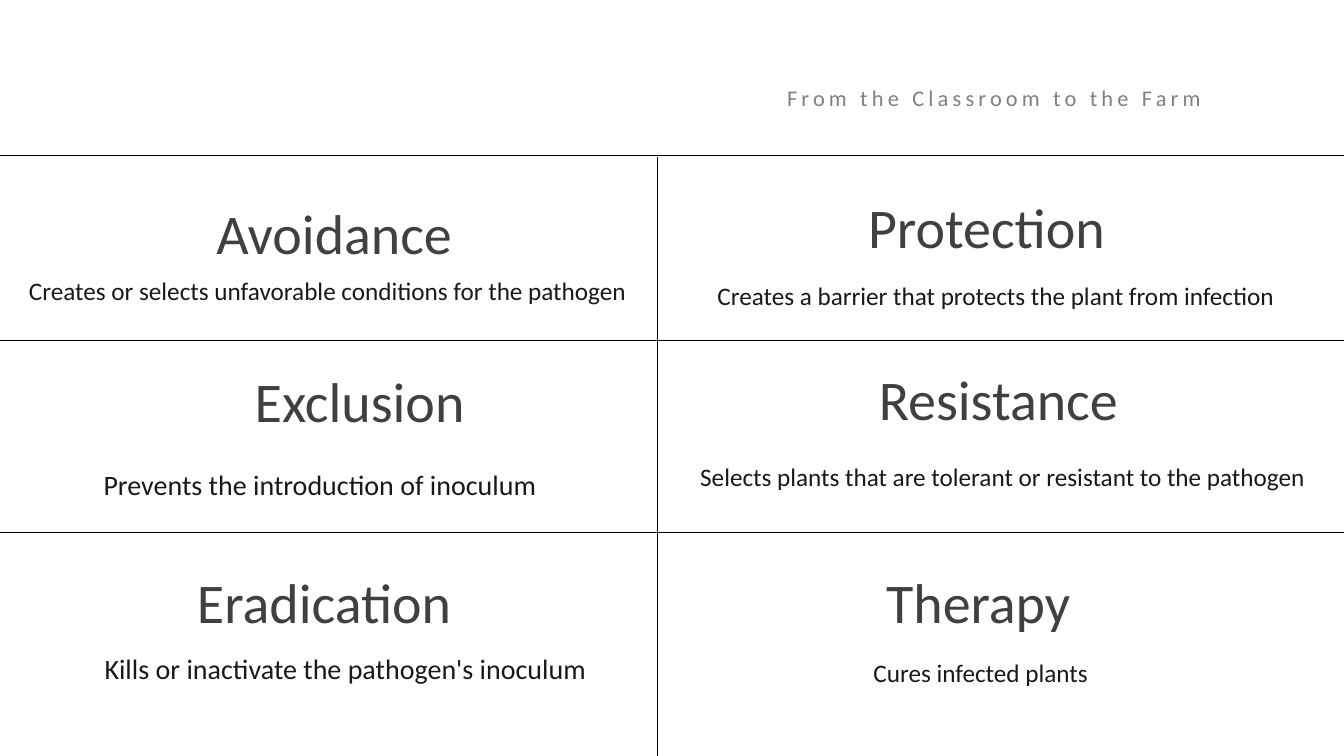
from pptx import Presentation
from pptx.dml.color import RGBColor
from pptx.enum import shapes, text
from pptx.oxml.ns import qn
from pptx.util import Pt

BLACK = RGBColor(0x00, 0x00, 0x00)
HEADING_GRAY = RGBColor(0x40, 0x40, 0x40)
BODY_GRAY = RGBColor(0x19, 0x19, 0x19)
TAGLINE_GRAY = RGBColor(0x80, 0x80, 0x80)
LEFT, CENTER = text.PP_ALIGN.LEFT, text.PP_ALIGN.CENTER
INDENT = 34.5

presentation = Presentation()
presentation.slide_width = Pt(960)
presentation.slide_height = Pt(540)
slide = presentation.slides.add_slide(presentation.slide_layouts[6])


def add_text(words, box, size, color, spacing, alignment=LEFT, indent=0):
    shape = slide.shapes.add_textbox(*[Pt(length) for length in box])
    shape.text_frame.word_wrap = True
    shape.text_frame.auto_size = text.MSO_AUTO_SIZE.SHAPE_TO_FIT_TEXT
    paragraph = shape.text_frame.paragraphs[0]
    paragraph.alignment = alignment
    paragraph.line_spacing = spacing
    if indent:
        properties = paragraph._p.get_or_add_pPr()
        properties.set("marL", str(Pt(indent)))
        properties.set("indent", "0")
    run = paragraph.add_run()
    run.text = words
    for name, value in {"name": "Calibri", "size": Pt(size)}.items():
        setattr(run.font, name, value)
    run.font.color.rgb = color
    return run


# Tagline with wide letter spacing
tagline = add_text("From the Classroom to the Farm", (555.1, 46.8, 360, 33.1),
                   16, TAGLINE_GRAY, 1.5)
tagline.font._element.set("spc", "300")

# Grid lines: three rows and one column divider
grid_lines = [(0, y, 960, y) for y in (110.9, 243.4, 380.2)]
grid_lines.append((469.4, 112.3, 469.4, 540))
for ends in grid_lines:
    line = slide.shapes.add_connector(
        shapes.MSO_CONNECTOR.STRAIGHT, *[Pt(length) for length in ends])
    line.line.color.rgb = BLACK
    line.line.width = Pt(0.5)
    properties = line._element.spPr
    properties.append(properties.makeelement(qn("a:effectLst"), {}))

# Principle names: left, top, height, line spacing, indent
principles = [
    ("Avoidance", 47.5, 118.8, 69.1, 1.4, 0),
    ("Protection", 513.4, 114.5, 69.1, 1.4, 0),
    ("Exclusion", 12.2, 244.1, 65.5, 1.3, 107),
    ("Resistance", 504.7, 242.6, 65.5, 1.3, INDENT),
    ("Eradication", 40.3, 382.3, 69.1, 1.4, 0),
    ("Therapy", 507.6, 382.3, 69.1, 1.4, 0),
]
for name, left, top, height, spacing, indent in principles:
    add_text(name, (left, top, 382.3, height), 40, HEADING_GRAY,
             spacing, CENTER, indent)

# Descriptions: left, top, width, height, font size, alignment
descriptions = [
    ("Creates or selects unfavorable conditions for the pathogen",
     -20.9, 186.5, 501.1, 33.1, 18, LEFT),
    ("Creates a barrier that protects the plant from infection",
     470.9, 190.1, 501.1, 33.1, 18, LEFT),
    ("Prevents the introduction of inoculum",
     32.4, 323.3, 442.1, 36, 20, LEFT),
    ("Selects plants that are tolerant or resistant to the pathogen",
     458.6, 319.7, 501.1, 33.1, 18, LEFT),
    ("Kills or inactivate the pathogen's inoculum",
     33.1, 454.3, 442.1, 36, 20, LEFT),
    ("Cures infected plants",
     432.7, 459.4, 501.1, 33.1, 18, CENTER),
]
for words, left, top, width, height, size, alignment in descriptions:
    add_text(words, (left, top, width, height), size, BODY_GRAY,
             1.3, alignment, INDENT)

presentation.save("out.pptx")
